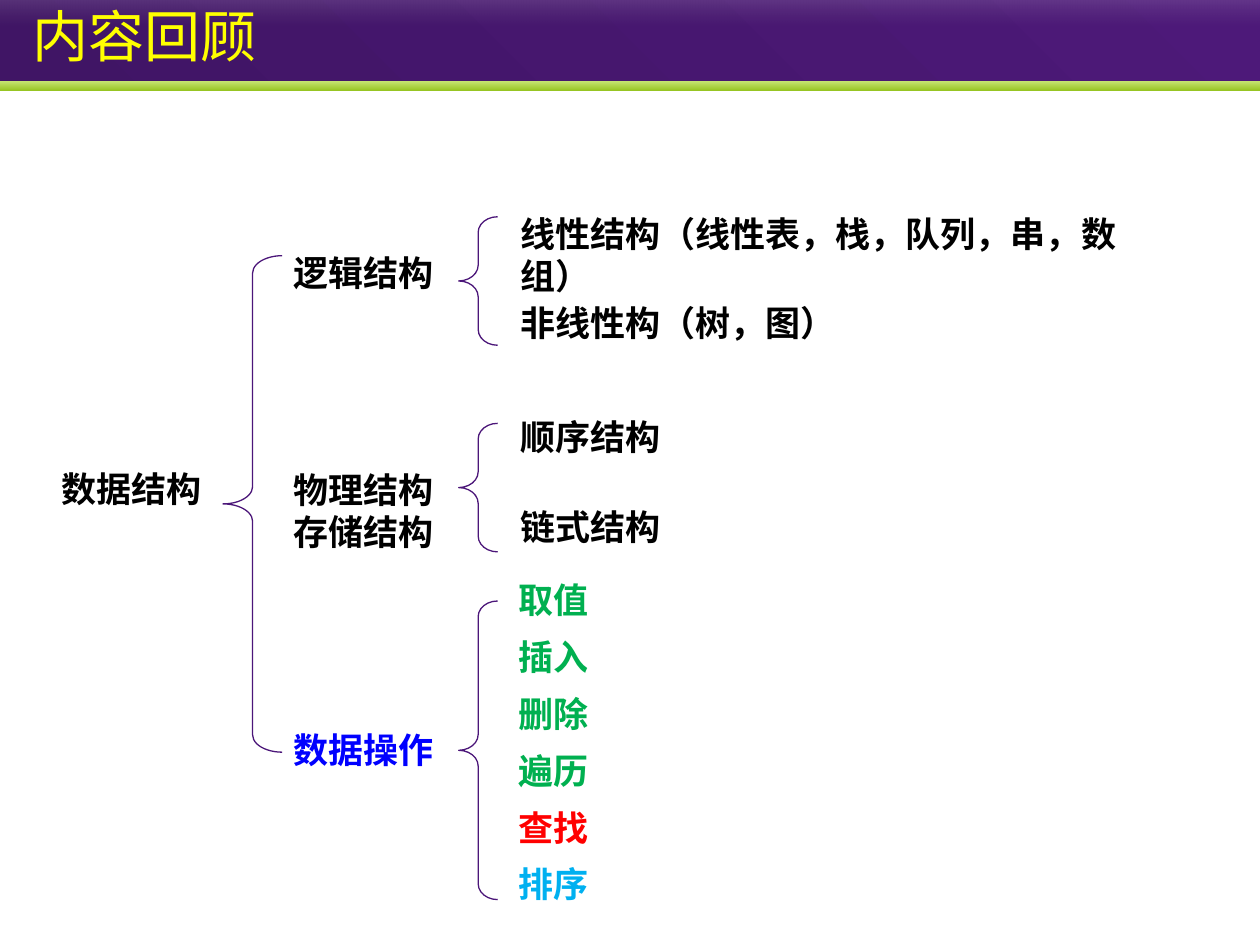
import pptx
import pptx.util
import pptx.dml.color
import pptx.enum.shapes
import pptx.enum.text
import pptx.oxml
import pptx.oxml.ns
from lxml import etree

Inches = pptx.util.Inches
RGBColor = pptx.dml.color.RGBColor
Shapes = pptx.enum.shapes.MSO_SHAPE

FONT = "Noto Sans CJK SC"
BLACK = RGBColor(0x00, 0x00, 0x00)
BLUE = RGBColor(0x00, 0x00, 0xFF)
GREEN = RGBColor(0x00, 0xB0, 0x50)
RED = RGBColor(0xFF, 0x00, 0x00)
SKY = RGBColor(0x00, 0xB0, 0xF0)
YELLOW = RGBColor(0xFF, 0xFF, 0x00)
PURPLE = RGBColor(0x4B, 0x16, 0x79)

# Content
TITLE = "内容回顾"
# Header bands: top, height, angle, gradient ends as (colour, opacity in %)
BANDS = [
    (0, 0.64, 315, [("401565", 100), ("4D1979", 100)]),
    (0.64, 0.08, 90, [("C9E576", 100), ("97C523", 100)]),
    (0, 0.2, 90, [("FFFFFF", 13), ("B6B6B6", 0)]),
]
ROOT = ("数据结构", 3.66)
# Branches: lines, top, colour
BRANCHES = [
    (["逻辑结构"], 1.95, BLACK),
    (["物理结构", "存储结构"], 3.67, BLACK),
    (["数据操作"], 5.73, BLUE),
]
# Leaves of the first two branches: text, top, width
STRUCTURES = [
    ("线性结构（线性表，栈，队列，串，数组）", 1.64, 5.23),
    ("非线性构（树，图）", 2.34, 2.73),
    ("顺序结构", 3.25, 1.48),
    ("链式结构", 3.96, 1.48),
]
OPERATIONS = [("取值", GREEN), ("插入", GREEN), ("删除", GREEN),
              ("遍历", GREEN), ("查找", RED), ("排序", SKY)]

# Columns and rows of the tree
ROOT_LEFT, BRANCH_LEFT, LEAF_LEFT = 0.39, 2.23, 4.03
LABEL_WIDTH, LINE_HEIGHT = 1.41, 0.44
OPERATION_TOP, OPERATION_STEP = 4.54, 0.452
# Braces: left, top, width, height, curvature
BRACES = [(1.77, 2.03, 0.47, 3.94, 0.292)] + [
    (3.64, top, 0.31, height, 0.403)
    for top, height in [(1.72, 1.02), (3.36, 1.02), (4.77, 2.37)]
]

presentation = pptx.Presentation()
presentation.slide_width = Inches(10)
presentation.slide_height = Inches(7.5)
slide = presentation.slides.add_slide(presentation.slide_layouts[6])


def add_band(top, height, angle, stops):
    shape = slide.shapes.add_shape(
        Shapes.RECTANGLE, 0, Inches(top), presentation.slide_width, Inches(height))
    shape.shadow.inherit = False
    shape.line.fill.background()
    stop_xml = "".join(
        f'<a:gs pos="{position}"><a:srgbClr val="{colour}">'
        f'<a:alpha val="{opacity * 1000}"/></a:srgbClr></a:gs>'
        for position, (colour, opacity) in zip((0, 100000), stops))
    gradient = pptx.oxml.parse_xml(
        f'<a:gradFill {pptx.oxml.ns.nsdecls("a")}><a:gsLst>{stop_xml}</a:gsLst>'
        f'<a:lin ang="{angle * 60000}" scaled="0"/></a:gradFill>')
    geometry = shape._element.spPr.find(pptx.oxml.ns.qn("a:prstGeom"))
    geometry.addnext(gradient)


def add_text(lines, left, top, width, colour, height=LINE_HEIGHT, size=20, bold=True):
    box = slide.shapes.add_textbox(
        Inches(left), Inches(top), Inches(width), Inches(height))
    frame = box.text_frame
    frame.word_wrap = True
    frame.text = "\n".join(lines)
    for paragraph in frame.paragraphs:
        font = paragraph.font
        font.name, font.size, font.bold = FONT, pptx.util.Pt(size), bold
        font.color.rgb = colour
        # East Asian typeface
        properties = paragraph._p.pPr.find(pptx.oxml.ns.qn("a:defRPr"))
        etree.SubElement(properties, pptx.oxml.ns.qn("a:ea"), typeface=FONT)
    return frame


def add_brace(left, top, width, height, curvature):
    brace = slide.shapes.add_shape(
        Shapes.LEFT_BRACE, Inches(left), Inches(top), Inches(width), Inches(height))
    brace.shadow.inherit = False
    brace.fill.background()
    brace.line.color.rgb = PURPLE
    brace.line.width = pptx.util.Pt(0.75)
    brace.adjustments[0] = curvature
    brace.adjustments[1] = 0.5


# Header
for band in BANDS:
    add_band(*band)
title = add_text([TITLE], 0.06, -0.08, 9.9, YELLOW, height=0.71, size=32, bold=False)
title.vertical_anchor = pptx.enum.text.MSO_ANCHOR.MIDDLE
title.margin_left = Inches(0.2)

# Tree
for brace in BRACES:
    add_brace(*brace)
add_text([ROOT[0]], ROOT_LEFT, ROOT[1], LABEL_WIDTH, BLACK)
for lines, top, colour in BRANCHES:
    add_text(lines, BRANCH_LEFT, top, LABEL_WIDTH, colour,
             height=LINE_HEIGHT + 0.33 * (len(lines) - 1))
for text, top, width in STRUCTURES:
    add_text([text], LEAF_LEFT, top, width, BLACK)
for row, (text, colour) in enumerate(OPERATIONS):
    add_text([text], LEAF_LEFT - 0.01, OPERATION_TOP + row * OPERATION_STEP, 0.94, colour)

presentation.save("out.pptx")
